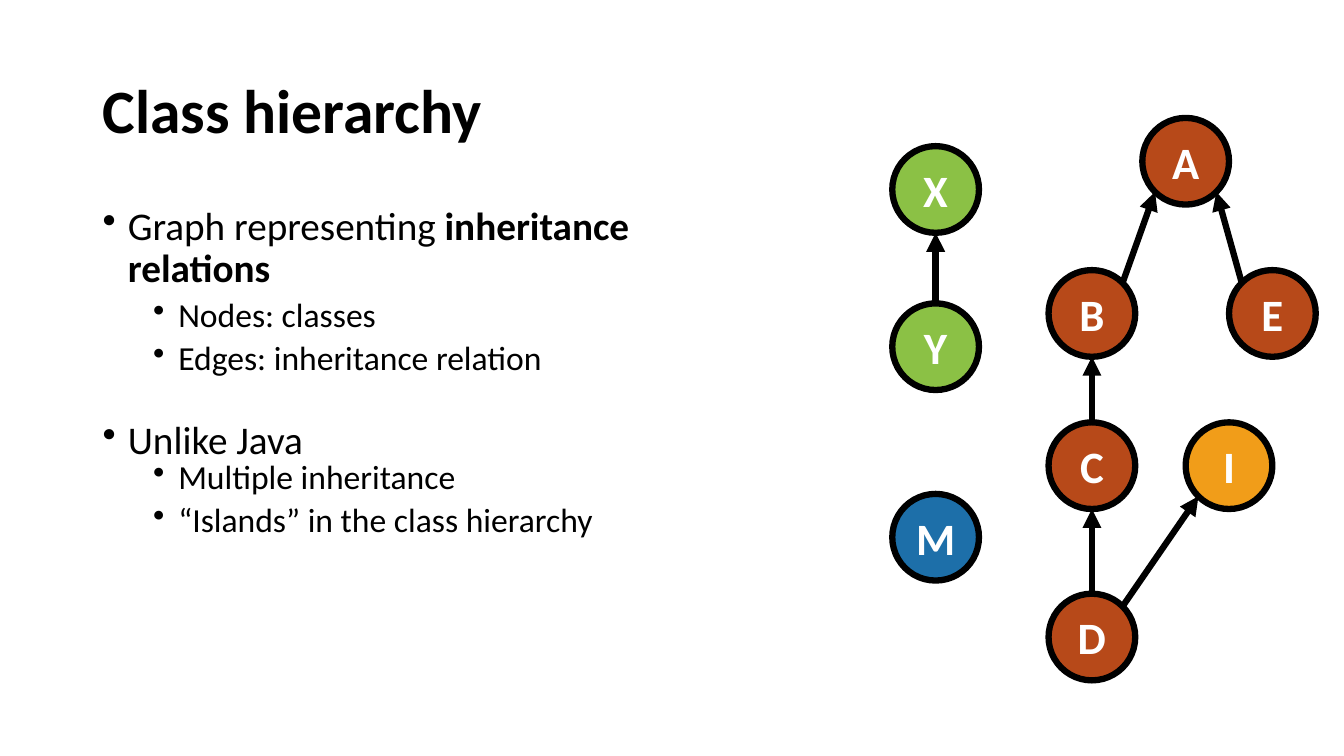
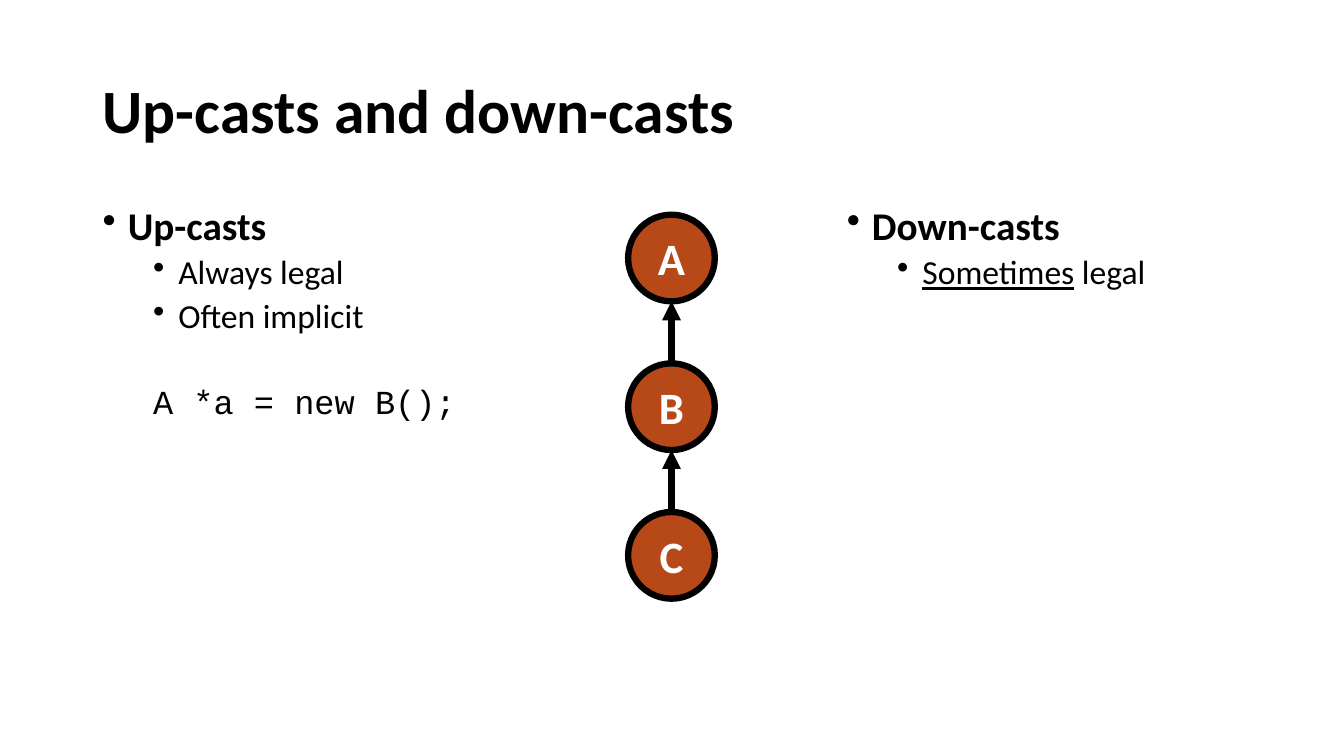
"""Build two slides on class hierarchies and casts."""
import math
from dataclasses import dataclass

from lxml import etree
from pptx import Presentation
from pptx import util as u
from pptx.dml.color import RGBColor
from pptx.enum import shapes, text
from pptx.oxml import ns

TOP, BOTTOM_LEFT, BOTTOM, BOTTOM_RIGHT, TOP_RIGHT = 0, 3, 4, 5, 7


@dataclass(frozen=True)
class Theme:
    font: str = "Calibri"
    code_font: str = "Courier New"
    ink: str = "000000"
    paper: str = "FFFFFF"
    red: str = "B74919"
    green: str = "8BC145"
    orange: str = "F19D19"
    blue: str = "1D6FA9"
    title_size: int = 44
    topic_size: int = 28
    detail_size: int = 24
    node_size: int = 32
    stroke: float = 4.5
    node_width: float = 0.86
    left: float = 0.92


class Builder:
    def __init__(self, theme):
        self.theme = theme
        self.deck = Presentation()
        self.deck.slide_width = u.Inches(13.33)
        self.deck.slide_height = u.Inches(7.5)
        self.page = None

    def add_page(self, title):
        self.page = self.deck.slides.add_slide(self.deck.slide_layouts[6])
        fill = self.page.background.fill
        fill.solid()
        fill.fore_color.rgb = RGBColor.from_string(self.theme.paper)
        frame = self.text_frame(self.theme.left, 0.4, 11.5, 1.45)
        frame.vertical_anchor = text.MSO_ANCHOR.MIDDLE
        para = frame.paragraphs[0]
        para.text = title
        para.line_spacing = 0.9
        self.style(para.font, self.theme.title_size, bold=True)

    def text_frame(self, left, top, width, height):
        box = self.page.shapes.add_textbox(*map(u.Inches, (left, top, width, height)))
        box.text_frame.word_wrap = True
        return box.text_frame

    def style(self, font, size, color=None, bold=False, name=None):
        font.name = name or self.theme.font
        font.size = u.Pt(size)
        font.bold = bold
        font.color.rgb = RGBColor.from_string(color or self.theme.ink)

    def next_para(self, frame, gap):
        if not frame.paragraphs[0].runs:
            para = frame.paragraphs[0]
        else:
            para = frame.add_paragraph()
            para.space_before = u.Pt(gap)
        para.line_spacing = 0.9
        return para

    def bullet(self, frame, level, *spans):
        para = self.next_para(frame, 5 if level else 10)
        properties = para._p.get_or_add_pPr()
        properties.set("marL", str(u.Inches(0.25 + 0.5 * level)))
        properties.set("indent", str(u.Inches(-0.25)))
        etree.SubElement(properties, ns.qn("a:buChar"), char="•")
        size = self.theme.detail_size if level else self.theme.topic_size
        self.style(para.font, size)
        for words, *emphasis in spans:
            span = para.add_run()
            span.text = words
            for kind in emphasis:
                setattr(span.font, kind, True)

    def code(self, frame, words):
        para = self.next_para(frame, 36)
        para._p.get_or_add_pPr().set("marL", str(u.Inches(0.5)))
        para.text = words
        self.style(para.font, self.theme.detail_size, name=self.theme.code_font)

    def node(self, label, left, top, color):
        width = u.Inches(self.theme.node_width)
        circle = self.page.shapes.add_shape(
            shapes.MSO_SHAPE.OVAL, u.Inches(left), u.Inches(top), width, width)
        circle.shadow.inherit = False
        circle.fill.solid()
        circle.fill.fore_color.rgb = RGBColor.from_string(color)
        self.outline(circle.line)
        frame = circle.text_frame
        frame.word_wrap = False
        frame.vertical_anchor = text.MSO_ANCHOR.MIDDLE
        para = frame.paragraphs[0]
        para.text = label
        para.alignment = text.PP_ALIGN.CENTER
        self.style(para.font, self.theme.node_size, self.theme.paper, bold=True)
        return circle

    def outline(self, line):
        line.color.rgb = RGBColor.from_string(self.theme.ink)
        line.width = u.Pt(self.theme.stroke)

    def site_point(self, circle, site):
        angle = math.radians(90 + 45 * site)
        radius = circle.width / 2
        return (round(circle.left + radius * (1 + math.cos(angle))),
                round(circle.top + radius * (1 - math.sin(angle))))

    def arrow(self, child, parent, child_site=TOP, parent_site=BOTTOM):
        arrow = self.page.shapes.add_connector(
            shapes.MSO_CONNECTOR.STRAIGHT,
            *self.site_point(child, child_site),
            *self.site_point(parent, parent_site))
        self.outline(arrow.line)
        etree.SubElement(arrow.line._get_or_add_ln(), ns.qn("a:tailEnd"), type="triangle")
        etree.SubElement(arrow._element.spPr, ns.qn("a:effectLst"))
        joints = arrow._element.nvCxnSpPr.cNvCxnSpPr
        for tag, circle, site in (("a:stCxn", child, child_site),
                                  ("a:endCxn", parent, parent_site)):
            etree.SubElement(joints, ns.qn(tag), id=str(circle.shape_id), idx=str(site))


def hierarchy_page(builder):
    theme = builder.theme
    builder.add_page("Class hierarchy")
    relations = builder.text_frame(theme.left, 2, 5.67, 1.87)
    builder.bullet(relations, 0, ("Graph representing ",), ("inheritance relations", "bold"))
    builder.bullet(relations, 1, ("Nodes: classes",))
    builder.bullet(relations, 1, ("Edges: inheritance relation",))
    contrast = builder.text_frame(theme.left, 4.12, 5.67, 0.54)
    builder.bullet(contrast, 0, ("Unlike Java",))
    differences = builder.text_frame(theme.left, 4.52, 5.67, 0.94)
    builder.bullet(differences, 1, ("Multiple inheritance",))
    builder.bullet(differences, 1, ("“Islands” in the class hierarchy",))

    layout = (
        ("A", 11.33, 1.17, theme.red),
        ("E", 12.19, 2.68, theme.red),
        ("B", 10.4, 2.68, theme.red),
        ("C", 10.4, 4.19, theme.red),
        ("D", 10.4, 5.89, theme.red),
        ("I", 11.76, 4.19, theme.orange),
        ("X", 8.85, 1.45, theme.green),
        ("Y", 8.85, 3.01, theme.green),
        ("M", 8.85, 4.9, theme.blue),
    )
    nodes = {spot[0]: builder.node(*spot) for spot in layout}
    for child, parent, *sites in (
        ("B", "A", TOP_RIGHT, BOTTOM_LEFT),
        ("D", "I", TOP_RIGHT, BOTTOM_LEFT),
        ("E", "A", 1, BOTTOM_RIGHT),
        ("C", "B"),
        ("D", "C"),
        ("Y", "X"),
    ):
        builder.arrow(nodes[child], nodes[parent], *sites)


def casts_page(builder):
    theme = builder.theme
    builder.add_page("Up-casts and down-casts")
    up_casts = builder.text_frame(theme.left, 2, 3.82, 4.76)
    builder.bullet(up_casts, 0, ("Up-casts", "bold"))
    builder.bullet(up_casts, 1, ("Always legal",))
    builder.bullet(up_casts, 1, ("Often implicit",))
    builder.code(up_casts, "A *a = new B();")
    down_casts = builder.text_frame(8.3, 2, 4.12, 4.76)
    builder.bullet(down_casts, 0, ("Down-casts", "bold"))
    builder.bullet(down_casts, 1, ("Sometimes", "underline"), (" legal",))

    chain = [builder.node(label, 6.23, 2.13 + 1.475 * row, theme.red)
             for row, label in enumerate("ABC")]
    for parent, child in zip(chain, chain[1:]):
        builder.arrow(child, parent)


def main():
    builder = Builder(Theme())
    hierarchy_page(builder)
    casts_page(builder)
    builder.deck.save("out.pptx")


if __name__ == "__main__":
    main()
